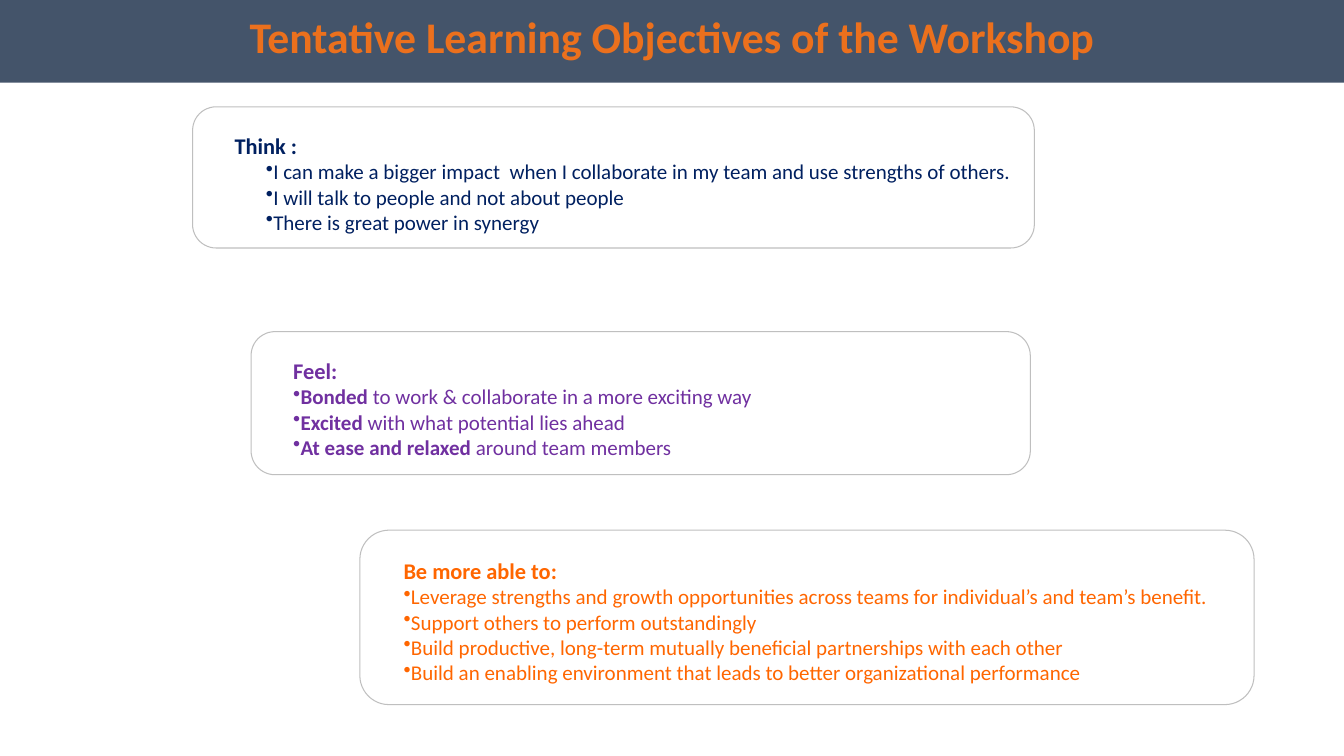
"""Build the slide of learning objectives for the workshop."""
import pptx
import pptx.util
import pptx.dml.color
import pptx.enum.shapes
import pptx.enum.text
import pptx.oxml

RGB = pptx.dml.color.RGBColor
KIND = pptx.enum.shapes.MSO_SHAPE
ALIGN = pptx.enum.text.PP_ALIGN
ANCHOR = pptx.enum.text.MSO_ANCHOR
FIT = pptx.enum.text.MSO_AUTO_SIZE
Pt, Inches = pptx.util.Pt, pptx.util.Inches

NAVY = RGB(0x00, 0x20, 0x60)
PURPLE = RGB(0x70, 0x30, 0xA0)
ORANGE = RGB(0xFF, 0x66, 0x00)
SLATE = RGB(0x44, 0x54, 0x6A)
AMBER = RGB(0xEB, 0x70, 0x1D)
GREY = RGB(0xBF, 0xBF, 0xBF)

TITLE = "Tentative Learning Objectives of the Workshop"
BAND = (0, -0.4, 100, 11.33)
# Each goal: place in percent of the slide, colour, left margin, heading, (bold, plain) points
GOALS = [
    ((14.33, 14.13, 62.63, 18.67), NAVY, 0.31, "Think :", [
        ("", "I can make a bigger impact  when I collaborate in my team and use strengths of others."),
        ("", "I will talk to people and not about people"),
        ("", "There is great power in synergy"),
    ]),
    ((18.68, 43.87, 57.98, 18.93), PURPLE, 0, "Feel:", [
        ("Bonded ", "to work & collaborate in a more exciting way"),
        ("Excited ", "with what potential lies ahead"),
        ("At ease and relaxed", " around team members"),
    ]),
    ((26.78, 70.13, 66.53, 23.07), ORANGE, 0, "Be more able to:", [
        ("", "Leverage strengths and growth opportunities across teams for individual’s and team’s benefit."),
        ("", "Support others to perform outstandingly"),
        ("", "Build productive, long-term mutually beneficial partnerships with each other"),
        ("", "Build an enabling environment that leads to better organizational performance"),
    ]),
]
BULLET = ('<a:buChar xmlns:a="http://schemas.openxmlformats.org/drawingml/2006/main"'
          ' char="•"/>')

deck = pptx.Presentation()
deck.slide_width, deck.slide_height = Inches(13.33), Inches(7.5)
slide = deck.slides.add_slide(deck.slide_layouts[6])


def add_box(kind, place):
    sizes = (deck.slide_width, deck.slide_height) * 2
    box = slide.shapes.add_shape(
        kind, *(round(part * size / 100) for part, size in zip(place, sizes)))
    box.shadow.inherit = False
    box.text_frame.word_wrap = True
    return box


def add_run(para, text, size, color, bold):
    run = para.add_run()
    run.text = text
    run.font.name, run.font.size, run.font.bold = "Calibri", Pt(size), bold
    run.font.color.rgb = color


def indent(para, left):
    para.alignment = ALIGN.LEFT
    props = para._p.get_or_add_pPr()
    props.set("marL", str(Inches(left)))
    props.set("indent", str(Inches(0.25)))
    return props


def add_goal(place, color, left, head, points):
    box = add_box(KIND.ROUNDED_RECTANGLE, place)
    box.fill.background()
    box.line.color.rgb, box.line.width = GREY, Pt(0.75)
    frame = box.text_frame
    frame.vertical_anchor = ANCHOR.TOP
    frame.auto_size = FIT.SHAPE_TO_FIT_TEXT
    para = frame.paragraphs[0]
    indent(para, 0)
    para.line_spacing = 1.5
    add_run(para, head, 16, color, True)
    for strong, plain in points:
        para = frame.add_paragraph()
        indent(para, left).append(pptx.oxml.parse_xml(BULLET))
        if strong:
            add_run(para, strong, 15, color, True)
        add_run(para, plain, 15, color, False)


def add_title():
    band = add_box(KIND.RECTANGLE, BAND)
    band.fill.solid()
    band.fill.fore_color.rgb = SLATE
    band.line.fill.background()
    band.text_frame.vertical_anchor = ANCHOR.MIDDLE
    para = band.text_frame.paragraphs[0]
    para.alignment, para.line_spacing = ALIGN.CENTER, 0.9
    add_run(para, TITLE, 31.2, AMBER, True)


for goal in GOALS:
    add_goal(*goal)
add_title()
deck.save("out.pptx")
